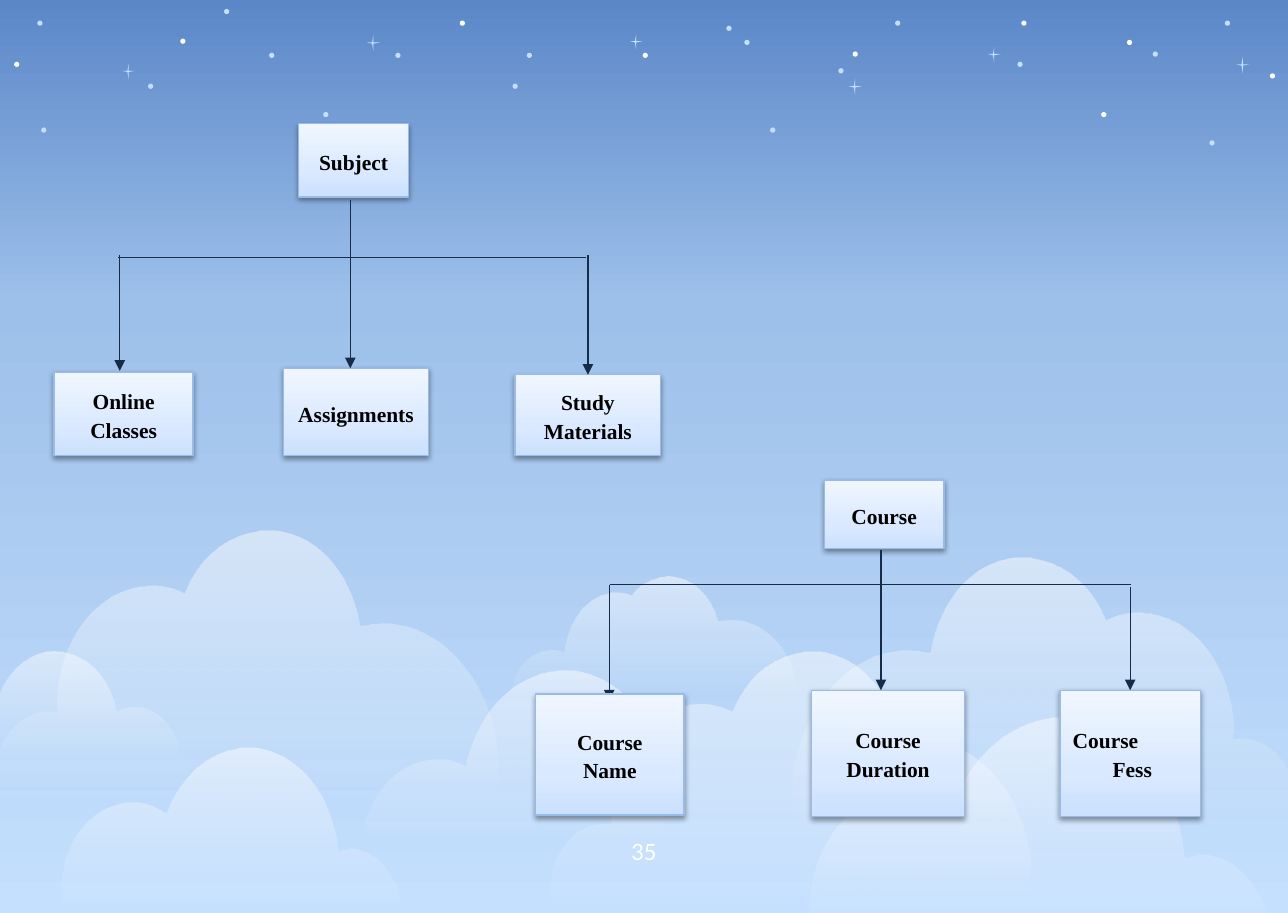
from dataclasses import dataclass

from lxml import etree
from pptx import Presentation
from pptx.dml.color import RGBColor
from pptx.enum.shapes import MSO_CONNECTOR, MSO_SHAPE
from pptx.enum.text import MSO_ANCHOR, PP_ALIGN
from pptx.oxml.ns import qn
from pptx.util import Cm, Pt

STRAIGHT = MSO_CONNECTOR.STRAIGHT
RECTANGLE = MSO_SHAPE.RECTANGLE
OVAL = MSO_SHAPE.OVAL
MIDDLE = MSO_ANCHOR.MIDDLE
CENTER = PP_ALIGN.CENTER
LEFT = PP_ALIGN.LEFT
TOP_SIDE = 0

WHITE, PALE, NAVY, BORDER = "FFFFFF", "C5E0FE", "172C49", "98BCE7"
SKY_STOPS = [(0, "5B87C8", 100), (33, "9DC0EA", 100), (100, PALE, 100)]
CLOUD_STOPS = [(0, WHITE, 51), (100, WHITE, 0)]
BOX_STOPS = [(0, "CBE1FF", 100), (35, "DAE9FF", 100), (100, "F0F6FF", 100)]
DOWNWARD, UPWARD = 270, 90


@dataclass
class Outline:
    frame: tuple
    start: tuple
    curves: list


@dataclass
class Cloud:
    outline: Outline
    frame: tuple
    mirrored: bool = False


@dataclass
class Box:
    text: str
    left: float
    top: float
    width: float
    height: float
    align: int = CENTER
    hanging: float = 0


@dataclass
class Line:
    start: tuple
    end: tuple
    arrow: bool = False
    target: str = ""


TALL = Outline((-0.06, 4.12, 3.92, 2.12), (3.84, 6.24), [
    (3.85, 6.15, 3.86, 6.06, 3.86, 5.97), (3.86, 5.35, 3.46, 4.84, 2.96, 4.84),
    (2.9, 4.84, 2.85, 4.85, 2.79, 4.86), (2.71, 4.36, 2.33, 4.04, 1.94, 4.14),
    (1.72, 4.19, 1.53, 4.36, 1.43, 4.61), (1.06, 4.43, 0.64, 4.66, 0.49, 5.14),
    (0.46, 5.24, 0.44, 5.35, 0.44, 5.46), (0.44, 5.49, 0.45, 5.51, 0.45, 5.53),
    (0.21, 5.48, -0.02, 5.69, -0.05, 6), (-0.06, 6.02, -0.06, 6.05, -0.06, 6.08),
    (-0.06, 6.13, -0.05, 6.19, -0.04, 6.24)])
TWIN = Outline((2.81, 5.21, 2.36, 1.36), (5.11, 6.57), [
    (5.27, 6.06, 5.07, 5.48, 4.67, 5.28), (4.27, 5.08, 3.81, 5.32, 3.65, 5.83),
    (3.63, 5.87, 3.62, 5.91, 3.62, 5.95), (3.32, 5.8, 2.97, 5.98, 2.85, 6.35),
    (2.83, 6.42, 2.81, 6.49, 2.81, 6.57)])
SMALL = Outline((3.97, 4.47, 2.23, 0.96), (6.19, 5.43), [
    (6.18, 5.06, 5.93, 4.79, 5.64, 4.81), (5.61, 4.81, 5.59, 4.82, 5.57, 4.82),
    (5.5, 4.56, 5.27, 4.41, 5.06, 4.5), (5, 4.52, 4.94, 4.56, 4.9, 4.62),
    (4.68, 4.54, 4.46, 4.69, 4.4, 4.96), (4.39, 4.99, 4.38, 5.03, 4.38, 5.06),
    (4.22, 4.99, 4.04, 5.1, 3.98, 5.3), (3.97, 5.34, 3.97, 5.38, 3.97, 5.43)])
LOW = Outline((0.48, 5.81, 2.63, 1.26), (3.11, 7.07), [
    (3.1, 6.8, 2.92, 6.58, 2.7, 6.59), (2.67, 6.6, 2.65, 6.6, 2.62, 6.61),
    (2.58, 6.12, 2.24, 5.77, 1.86, 5.81), (1.61, 5.84, 1.39, 6.04, 1.29, 6.32),
    (1.03, 6.13, 0.7, 6.25, 0.55, 6.57), (0.48, 6.72, 0.46, 6.9, 0.49, 7.07)])
EDGE = Outline((-0.06, 5.06, 1.45, 0.83), (-0.02, 5.89), [
    (-0.12, 5.58, 0, 5.23, 0.25, 5.1), (0.5, 4.98, 0.78, 5.13, 0.88, 5.44),
    (0.88, 5.47, 0.89, 5.49, 0.9, 5.52), (1.08, 5.42, 1.29, 5.53, 1.37, 5.76),
    (1.38, 5.8, 1.39, 5.85, 1.39, 5.89)])
CLOUDS = [Cloud(TALL, TALL.frame), Cloud(TWIN, TWIN.frame), Cloud(SMALL, SMALL.frame),
          Cloud(TALL, (4.27, 5.06, 3.73, 2.02)), Cloud(LOW, LOW.frame),
          Cloud(EDGE, EDGE.frame), Cloud(LOW, (6.29, 5.58, 3.57, 1.71)),
          Cloud(TALL, (6.15, 4.33, 3.92, 2.12), True)]

DOT_SIZE = 0.04
DOTS = {
    PALE: [(9.51, 0.16), (5.64, 0.2), (7.9, 0.48), (6.95, 0.16), (4.09, 0.41), (3.07, 0.41),
           (2.09, 0.41), (0.29, 0.16), (1.15, 0.65), (5.78, 0.31), (6.51, 0.53), (1.74, 0.07),
           (3.98, 0.65), (8.95, 0.4), (2.51, 0.87), (5.98, 0.99), (0.32, 0.99), (9.39, 1.09)],
    WHITE: [(7.93, 0.16), (8.75, 0.31), (3.57, 0.16), (1.4, 0.3), (9.86, 0.57),
            (0.11, 0.48), (4.99, 0.41), (6.62, 0.4), (8.55, 0.87)],
}
SPARKLE = [(0.05, 0), (0.04, 0.06), (0, 0.06), (0.04, 0.07),
           (0.05, 0.13), (0.05, 0.07), (0.1, 0.06), (0.05, 0.06)]
SPARKLES = [(0.95, 0.49), (7.67, 0.36), (9.6, 0.44), (4.89, 0.26), (2.85, 0.27), (6.59, 0.61)]

BOXES = [
    Box("Assignments", 2.2, 2.86, 1.13, 0.68),
    Box("Subject", 2.32, 0.96, 0.85, 0.57),
    Box("Online Classes", 0.42, 2.89, 1.08, 0.65),
    Box("Study Materials", 4, 2.91, 1.13, 0.63),
    Box("Course", 6.4, 3.73, 0.93, 0.53),
    Box("Course Name", 4.16, 5.39, 1.15, 0.94),
    Box("Course\vFess", 8.23, 5.36, 1.09, 0.98, LEFT, 0.31),
    Box("Course Duration", 6.3, 5.36, 1.19, 0.98),
]
BACK_LINES = [Line((4.73, 4.54), (4.73, 5.44), True)]
FRONT_LINES = [
    Line((2.72, 1.55), (2.72, 2)),
    Line((0.93, 1.98), (0.93, 2.88), True),
    Line((4.55, 1.98), (4.55, 2.92), True, "Study Materials"),
    Line((2.72, 1.98), (2.72, 2.86), True),
    Line((0.92, 2), (4.55, 2)),
    Line((6.84, 4.27), (6.84, 4.55)),
    Line((6.84, 4.54), (6.84, 5.36), True),
    Line((8.77, 4.56), (8.77, 5.38), True, "Course\vFess"),
    Line((4.74, 4.54), (8.78, 4.54)),
]
BOX_FONT = {"name": "Times New Roman", "size": Pt(12), "bold": True}
NUMBER_FONT = {"size": Pt(14)}


def lengths(*values: float) -> list:
    return [Cm(value * 2.54) for value in values]


def colour(value: str) -> RGBColor:
    return RGBColor.from_string(value)


def add_colour(parent, value: str, opacity: int) -> None:
    element = etree.SubElement(parent, qn("a:srgbClr"), val=value)
    if opacity < 100:
        etree.SubElement(element, qn("a:alpha"), val=str(opacity * 1000))


def paint_gradient(fill, owner, stops: list, angle: int) -> None:
    fill.gradient()
    fill.gradient_angle = angle
    stop_list = next(owner.element.iter(qn("a:gsLst")))
    for stop in list(stop_list):
        stop_list.remove(stop)
    for position, value, opacity in stops:
        stop = etree.SubElement(stop_list, qn("a:gs"), pos=str(position * 1000))
        add_colour(stop, value, opacity)


def draw_polygon(slide, points: list):
    corners = [tuple(lengths(*point)) for point in points]
    builder = slide.shapes.build_freeform(*corners[0])
    builder.add_line_segments(corners[1:], close=True)
    shape = builder.convert_to_shape()
    shape.shadow.inherit = False
    shape.line.fill.background()
    return shape


def draw_cloud(slide, cloud: Cloud) -> None:
    left, top, width, height = cloud.frame
    right, bottom = left + width, top + height
    shape = draw_polygon(slide, [(left, top), (right, top), (right, bottom), (left, bottom)])
    contour = next(shape.element.iter(qn("a:path")))
    for segment in list(contour):
        contour.remove(segment)
    base_left, base_top, base_width, base_height = cloud.outline.frame

    def add_segment(tag: str, values: tuple) -> None:
        segment = etree.SubElement(contour, qn(tag))
        for x, y in zip(values[::2], values[1::2]):
            across = (x - base_left) / base_width
            across = 1 - across if cloud.mirrored else across
            down = (y - base_top) / base_height
            etree.SubElement(segment, qn("a:pt"), x=str(round(across * shape.width)),
                             y=str(round(down * shape.height)))

    add_segment("a:moveTo", cloud.outline.start)
    for curve in cloud.outline.curves:
        add_segment("a:cubicBezTo", curve)
    etree.SubElement(contour, qn("a:close"))
    paint_gradient(shape.fill, shape, CLOUD_STOPS, DOWNWARD)


def fill_solid(shape, value: str) -> None:
    shape.fill.solid()
    shape.fill.fore_color.rgb = colour(value)


def draw_dot(slide, left: float, top: float, value: str) -> None:
    shape = slide.shapes.add_shape(OVAL, *lengths(left, top, DOT_SIZE, DOT_SIZE))
    shape.shadow.inherit = False
    shape.line.fill.background()
    fill_solid(shape, value)


def write_text(shape, text: str, align: int, font: dict, value: str):
    shape.text_frame.word_wrap = True
    shape.text_frame.vertical_anchor = MIDDLE
    paragraph = shape.text_frame.paragraphs[0]
    paragraph.text = text
    paragraph.alignment = align
    for run in paragraph.runs:
        for name, setting in font.items():
            setattr(run.font, name, setting)
        run.font.color.rgb = colour(value)
    return paragraph


def draw_box(slide, box: Box):
    shape = slide.shapes.add_shape(RECTANGLE, *lengths(box.left, box.top, box.width, box.height))
    paint_gradient(shape.fill, shape, BOX_STOPS, UPWARD)
    shape.line.color.rgb = colour(BORDER)
    shape.line.width = Pt(0.75)
    shape.shadow.inherit = False
    effects = next(shape.element.iter(qn("a:effectLst")))
    shadow = etree.SubElement(effects, qn("a:outerShdw"), blurRad=str(Pt(3.1)),
                              dist=str(Pt(1.6)), dir="5400000", rotWithShape="0")
    add_colour(shadow, "000000", 38)
    paragraph = write_text(shape, box.text, box.align, BOX_FONT, "000000")
    paragraph.line_spacing = 1.11
    paragraph.space_after = Pt(10.4)
    if box.hanging:
        indent, = lengths(box.hanging)
        properties = paragraph._p.get_or_add_pPr()
        properties.set("marL", str(indent))
        properties.set("indent", str(-indent))
    return shape


def draw_line(slide, line: Line, boxes: dict) -> None:
    connector = slide.shapes.add_connector(STRAIGHT, *lengths(*line.start, *line.end))
    if line.target:
        connector.end_connect(boxes[line.target], TOP_SIDE)
        connector.begin_x = connector.end_x
    connector.line.color.rgb = colour(NAVY)
    connector.line.width = Pt(0.75)
    if line.arrow:
        outline = next(connector.element.iter(qn("a:ln")))
        etree.SubElement(outline, qn("a:tailEnd"), type="triangle")
    etree.SubElement(connector.element.spPr, qn("a:effectLst"))


def main() -> None:
    presentation = Presentation()
    presentation.slide_width, presentation.slide_height = lengths(10, 7.09)
    slide = presentation.slides.add_slide(presentation.slide_layouts[6])
    paint_gradient(slide.background.fill, slide, SKY_STOPS, DOWNWARD)
    for cloud in CLOUDS:
        draw_cloud(slide, cloud)
    for value, places in DOTS.items():
        for left, top in places:
            draw_dot(slide, left, top, value)
    for left, top in SPARKLES:
        fill_solid(draw_polygon(slide, [(left + x, top + y) for x, y in SPARKLE]), PALE)
    for line in BACK_LINES:
        draw_line(slide, line, {})
    boxes = {box.text: draw_box(slide, box) for box in BOXES}
    for line in FRONT_LINES:
        draw_line(slide, line, boxes)
    number = slide.shapes.add_textbox(*lengths(4.5, 6.39, 1, 0.43))
    write_text(number, "35", CENTER, NUMBER_FONT, WHITE)
    presentation.save("out.pptx")


if __name__ == "__main__":
    main()
